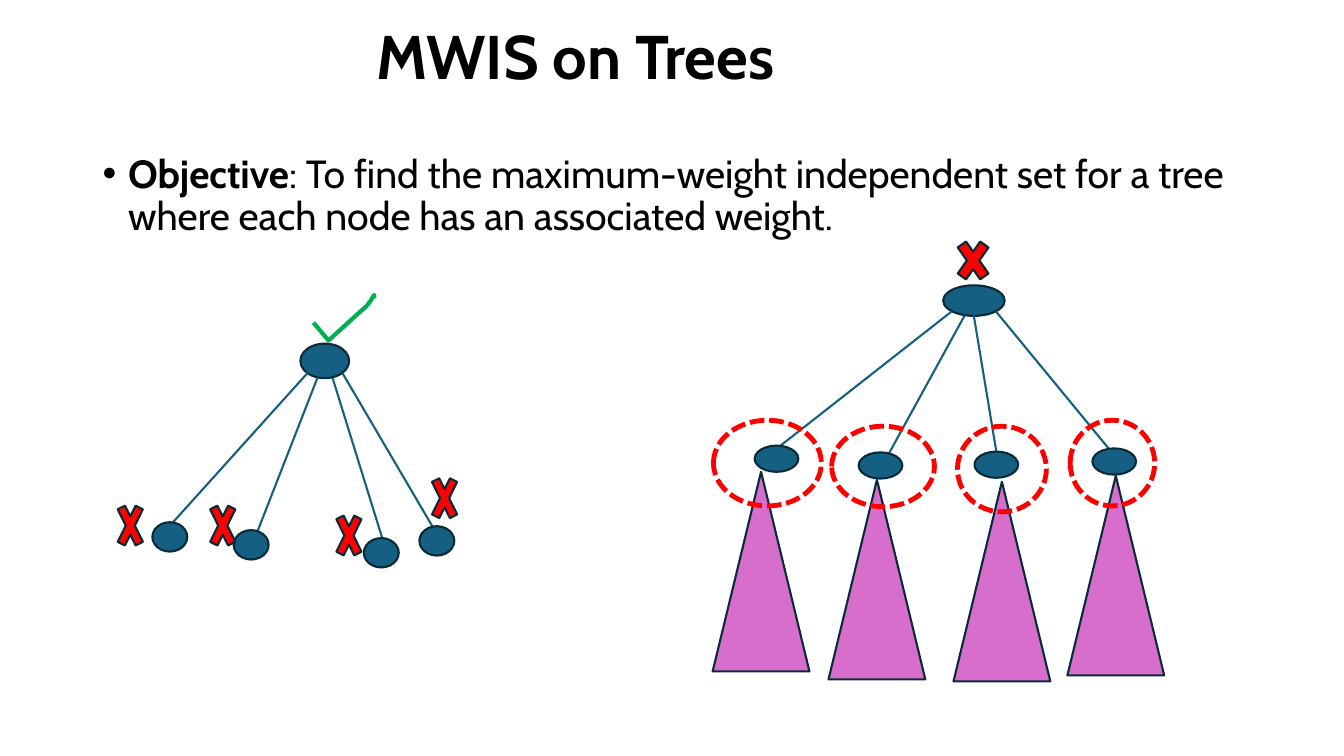
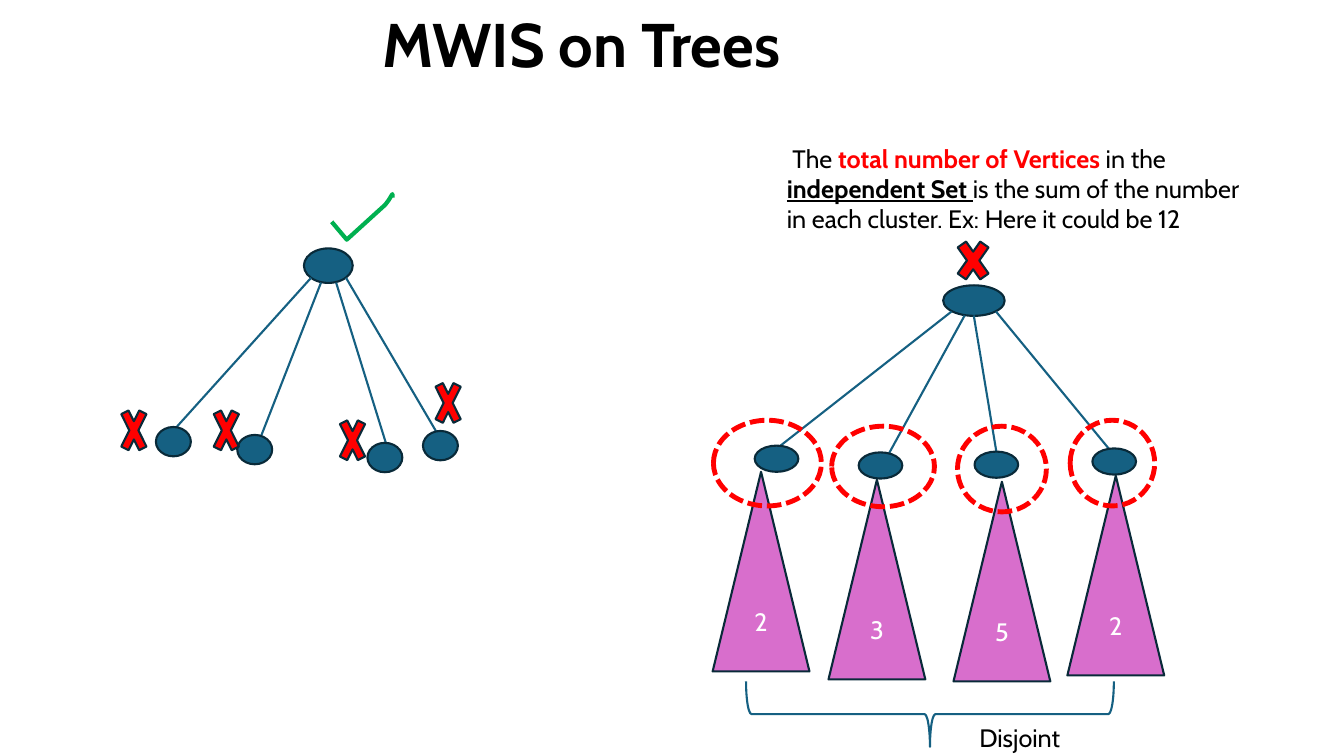
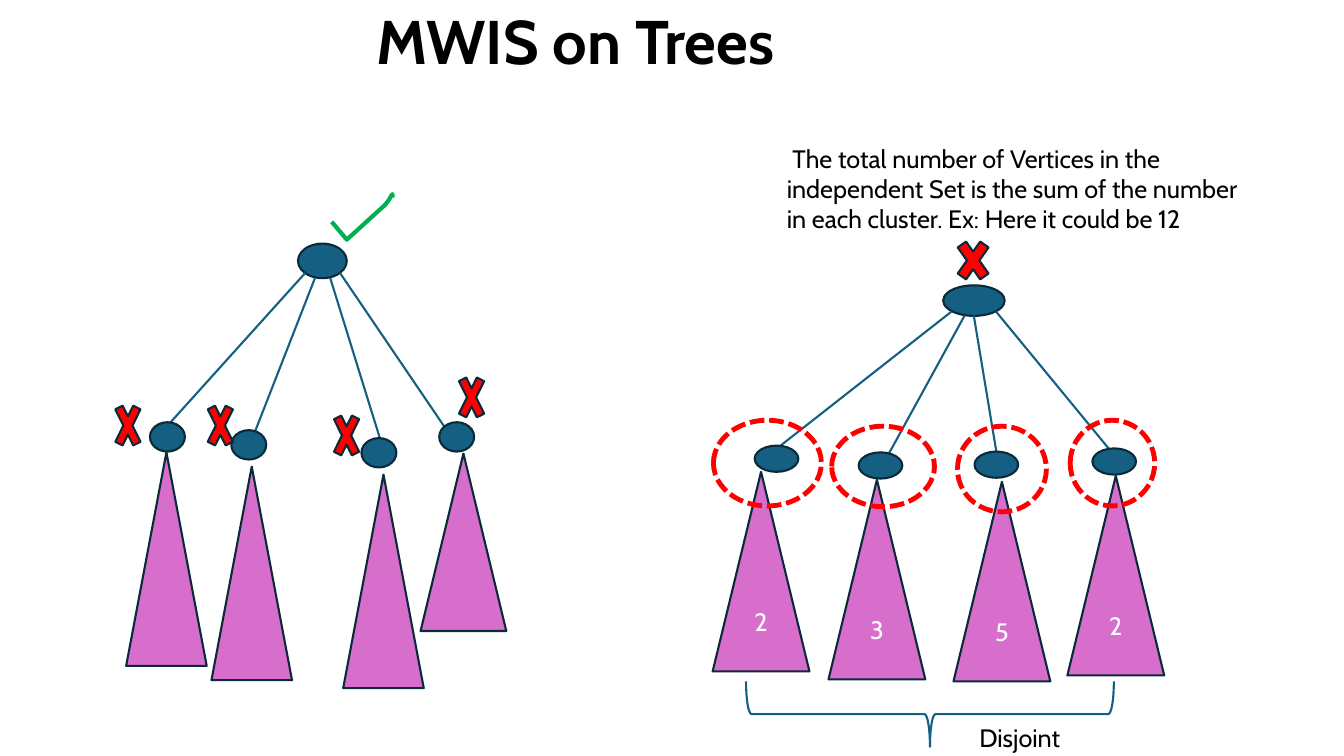
from lxml import etree
from pptx import Presentation
from pptx import util as u
from pptx.dml.color import RGBColor
from pptx.enum import dml, shapes, text
from pptx.oxml import ns

FONT = "Cabin"
BLACK, WHITE, RED, GREEN = "000000", "FFFFFF", "FF0000", "00B050"
BLUE, NAVY, PINK = "156082", "092A39", "D86ECC"
OVAL = shapes.MSO_SHAPE.OVAL
CROSS = shapes.MSO_SHAPE.MATH_MULTIPLY
TRIANGLE = shapes.MSO_SHAPE.ISOSCELES_TRIANGLE
BRACE = shapes.MSO_SHAPE.RIGHT_BRACE
color = RGBColor.from_string


def add_shape(slide, kind, box, fill, line=NAVY, weight=1.5):
    shape = slide.shapes.add_shape(kind, *map(u.Cm, box))
    shape.shadow.inherit = False
    if fill:
        shape.fill.solid()
        shape.fill.fore_color.rgb = color(fill)
    else:
        shape.fill.background()
    shape.line.color.rgb = color(line)
    shape.line.width = u.Pt(weight)
    return shape


def add_text(slide, box, runs, size=18, bullet=False):
    frame = slide.shapes.add_textbox(*map(u.Cm, box)).text_frame
    frame.word_wrap = True
    paragraph = frame.paragraphs[0]
    if bullet:
        properties = paragraph._p.get_or_add_pPr()
        properties.set("marL", str(u.Cm(0.64)))
        properties.set("indent", str(u.Cm(-0.64)))
        etree.SubElement(properties, ns.qn("a:buFont"), typeface="Arial")
        etree.SubElement(properties, ns.qn("a:buChar"), char="•")
    paragraph.font.name = FONT
    paragraph.font.size = u.Pt(size)
    for words, bold, underline, ink in runs:
        run = paragraph.add_run()
        run.text = words
        run.font.bold = bold
        run.font.underline = underline
        run.font.color.rgb = color(ink)
    return frame


OBJECTIVE = [
    ("Objective", True, False, BLACK),
    (": To find the maximum-weight independent set for a tree where each node "
     "has an associated weight.", False, False, BLACK),
]
MARKED_NOTE = [
    (" The ", False, False, BLACK),
    ("total number of Vertices ", True, False, RED),
    ("in the ", False, False, BLACK),
    ("independent Set ", True, True, BLACK),
    ("is the sum of the number in each cluster. Ex: Here it could be 12",
     False, False, BLACK),
]
PLAIN_NOTE = [("".join(words for words, *_ in MARKED_NOTE), False, False, BLACK)]

# LEFT_BRANCHES

LEFT_BRANCHES = [
    ((0.18, 0.74), (-3.3, 4.6), (-3.73, 4.5), (-4.72, 3.71)),
    ((0.43, 0.86), (-1.14, 4.88), (-1.68, 4.7), (-2.39, 3.71)),
    ((0.81, 0.86), (2.11, 5.05), (1.6, 4.9), (0.79, 3.96)),
]
NEAR_BRANCH = ((1.06, 0.74), (3.43, 4.78), (3, 4.6), (3.2, 3.02))
FAR_BRANCH = ((1.06, 0.74), (3.68, 4.6), (3.56, 4.5), (3.94, 3))
TICK = [(0.38, 0.45), (1.35, -0.43), (1.44, -0.55), (1.5, -0.65),
        (1.53, -0.7), (1.53, -0.61)]
LEFT_CLUSTERS = [(3.18, 11.4, 2.03, 5.38), (5.33, 11.76, 2.03, 5.38),
                 (8.65, 11.96, 2.03, 5.38), (10.6, 11.43, 2.16, 4.47)]

RIGHT_BRANCHES = [
    ((23.98, 7.85), (19.58, 11.3), (19.02, 11.23), (17.96, 11.89),
     (17.98, 10.59, 2.72, 2.16)),
    ((24.31, 7.95), (22.33, 11.56), (21.64, 11.4), (20.88, 12.09),
     (20.96, 10.74, 2.59, 2.03)),
    ((24.54, 7.95), (25.15, 11.63), (24.56, 11.38), (24.03, 12.14),
     (24.13, 10.74, 2.24, 2.16)),
    ((25.1, 7.85), (28.07, 11.46), (27.53, 11.3), (26.9, 11.99),
     (26.97, 10.59, 2.13, 2.16)),
]

SLIDES = [
    ((-0.1, 0.05, 29.21, 2.92), (7.57, 8.66), NEAR_BRANCH, (7.9, 8.13), None, []),
    ((0.05, 0.08, 29.21, 2.26), (7.66, 6.26), NEAR_BRANCH, (8.36, 5.59),
     MARKED_NOTE, []),
    ((-0.1, 0.03, 29.21, 2.18), (7.51, 6.14), FAR_BRANCH, (8.36, 5.59),
     PLAIN_NOTE, LEFT_CLUSTERS),
]

presentation = Presentation()
presentation.slide_width = u.Cm(33.87)
presentation.slide_height = u.Cm(19.05)

for title_box, (root_x, root_y), last_branch, (tick_x, tick_y), note, clusters in SLIDES:
    slide = presentation.slides.add_slide(presentation.slide_layouts[6])
    title = add_text(slide, title_box, [("MWIS on Trees", True, False, BLACK)], 44)
    title.vertical_anchor = text.MSO_ANCHOR.MIDDLE
    title.paragraphs[0].alignment = text.PP_ALIGN.CENTER
    title.paragraphs[0].line_spacing = 0.9
    if not note:
        body = add_text(slide, (2.34, 3.76, 29.21, 13.39), OBJECTIVE, 28, True)
        body.paragraphs[0].line_spacing = 0.9

    left_branches = [[(root_x + x, root_y + y) for x, y in branch]
                     for branch in LEFT_BRANCHES + [last_branch]]
    add_shape(slide, OVAL, (root_x, root_y, 1.23, 0.87), BLUE)
    add_shape(slide, OVAL, (23.77, 7.19, 1.55, 0.77), BLUE)
    for start, end, *_ in left_branches + RIGHT_BRANCHES:
        edge = slide.shapes.add_connector(
            shapes.MSO_CONNECTOR.STRAIGHT, *map(u.Cm, start + end))
        edge.line.color.rgb = color(BLUE)
        edge.line.width = u.Pt(1.5)
        etree.SubElement(edge._element.spPr, ns.qn("a:effectLst"))

    for _, _, node, _ in left_branches:
        add_shape(slide, OVAL, (*node, 0.88, 0.74), BLUE)
    for *_, cross in left_branches:
        add_shape(slide, CROSS, (*cross, 0.87, 1.75), RED)
    builder = slide.shapes.build_freeform(u.Cm(tick_x), u.Cm(tick_y))
    builder.add_line_segments(
        [(u.Cm(tick_x + x), u.Cm(tick_y + y)) for x, y in TICK], close=False)
    tick = builder.convert_to_shape()
    tick.shadow.inherit = False
    tick.fill.background()
    tick.line.color.rgb = color(GREEN)
    tick.line.width = u.Pt(3)

    add_shape(slide, CROSS, (23.98, 5.79, 1.09, 1.55), RED)
    for (_, _, node, cluster, ring), count in zip(RIGHT_BRANCHES, "2352"):
        add_shape(slide, OVAL, (*node, 1.1, 0.66), BLUE)
        triangle = add_shape(slide, TRIANGLE, (*cluster, 2.44, 5.03), PINK)
        if note:
            paragraph = triangle.text_frame.paragraphs[0]
            paragraph.text = count
            paragraph.alignment = text.PP_ALIGN.CENTER
            paragraph.font.name = FONT
            paragraph.font.size = u.Pt(18)
            paragraph.font.color.rgb = color(WHITE)
        outline = add_shape(slide, OVAL, ring, None, RED, 3.5)
        outline.line.dash_style = dml.MSO_LINE.SQUARE_DOT

    if note:
        brace = add_shape(slide, BRACE, (22.61, 13.36, 1.65, 9.27), None, BLUE)
        brace.rotation = 90
        add_text(slide, (24.43, 18.08, 3.38, 1.02), [("Disjoint", False, False, BLACK)])
        add_text(slide, (19.58, 3.48, 12.27, 2.57), note)
    for cluster in clusters:
        add_shape(slide, TRIANGLE, cluster, PINK)

presentation.save("out.pptx")
